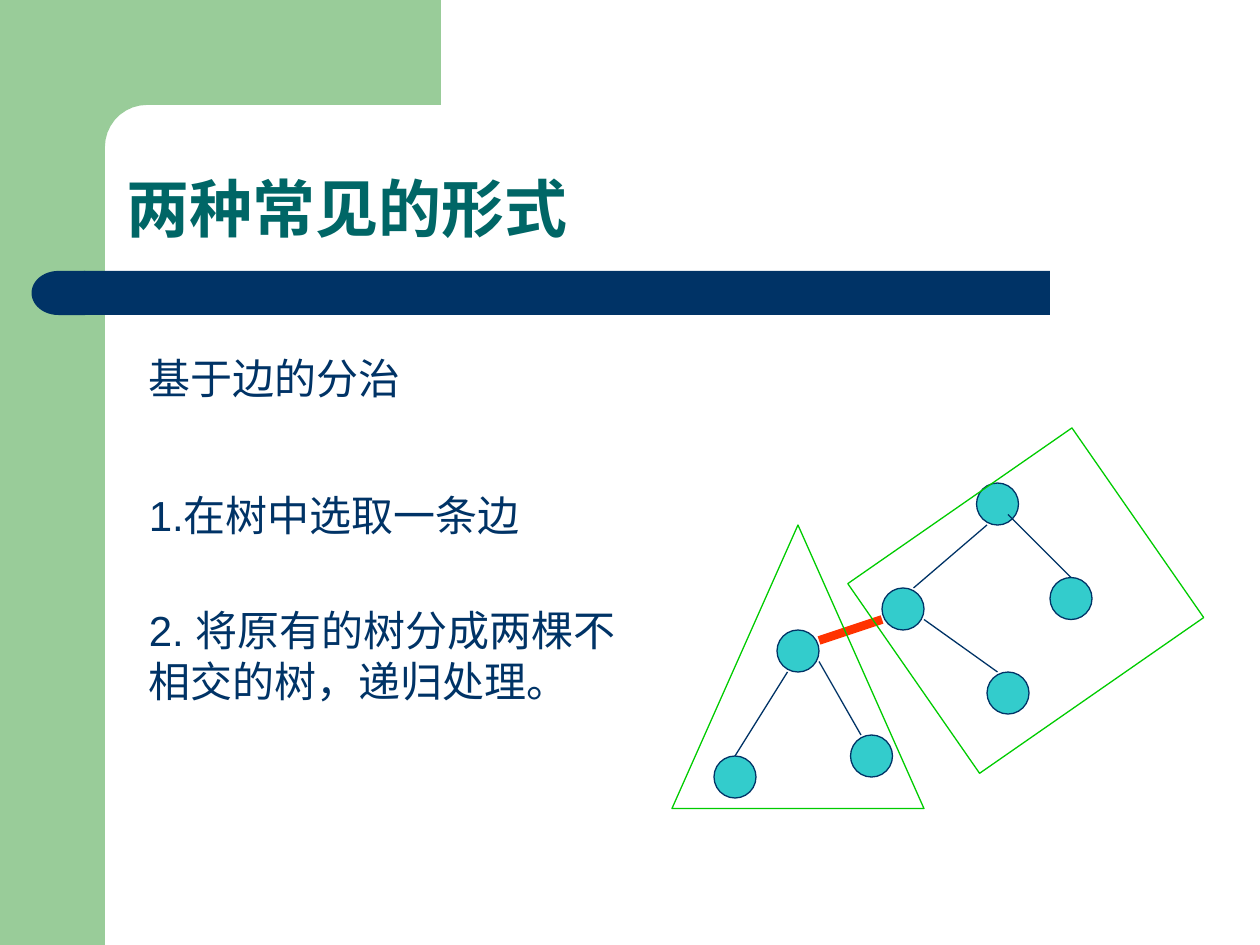
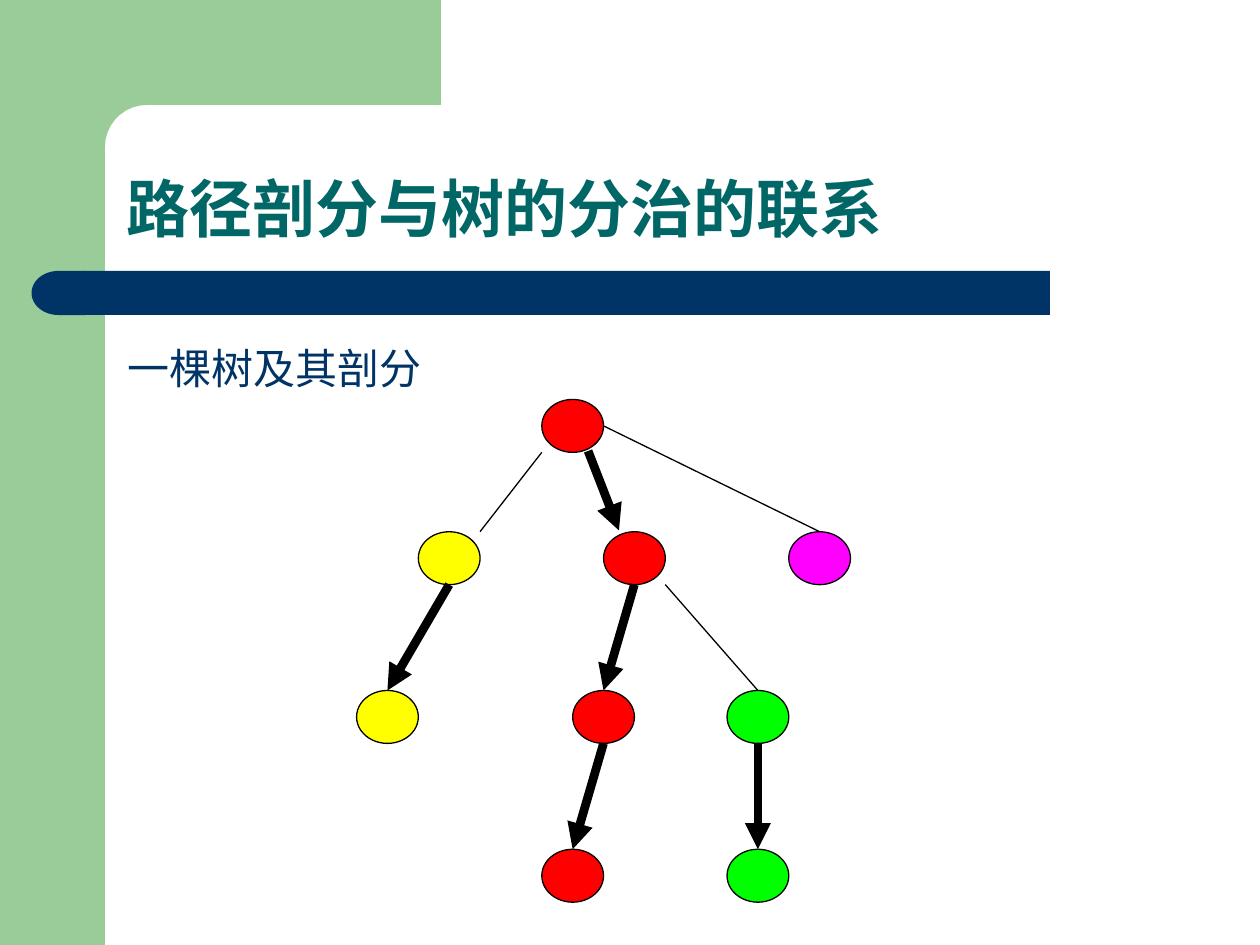
import dataclasses
import math

import lxml.etree
import pptx
import pptx.dml.color
import pptx.enum.shapes
import pptx.enum.text
import pptx.oxml.ns
import pptx.util

COLORS = {
    "leaf": "99CC99", "navy": "003366", "title": "006666",
    "node": "33CCCC", "cut": "FF3300", "part": "00CC00", "black": "000000",
    "red": "FF0000", "yellow": "FFFF00", "magenta": "FF00FF", "green": "00FF00",
}
FONT = "Arial"
SHAPE = pptx.enum.shapes.MSO_SHAPE
ANCHOR = pptx.enum.text.MSO_ANCHOR
THIN, THICK = 0.75, 5


@dataclasses.dataclass
class Grid:
    """A region of the slide; positions in it are columns and rows."""
    left: float
    top: float
    column: float
    row: float

    def point(self, x, y):
        return (pptx.util.Inches(self.left + x * self.column),
                pptx.util.Inches(self.top + y * self.row))

    def size(self, width, height):
        return (pptx.util.Inches(width * self.column),
                pptx.util.Inches(height * self.row))


CELL = 1 / 12
SLIDE = Grid(0, 0, CELL, CELL)  # 120 columns by 90 rows
WIDTH, HEIGHT = 120, 90


def color(name):
    return pptx.dml.color.RGBColor.from_string(COLORS[name])


def paint(shape, fill=None, line=None):
    shape.shadow.inherit = False
    if fill:
        shape.fill.solid()
        shape.fill.fore_color.rgb = color(fill)
    else:
        shape.fill.background()
    if line:
        shape.line.color.rgb = color(line)
        shape.line.width = pptx.util.Pt(THIN)
    else:
        shape.line.fill.background()


def add_figure(page, grid, kind, x, y, width, height, fill=None, line=None, turn=0):
    figure = page.shapes.add_shape(kind, *grid.point(x, y), *grid.size(width, height))
    figure.rotation = turn
    paint(figure, fill, line)


def add_edge(page, grid, start, end, line, weight=THIN, arrow=False):
    edge = page.shapes.add_connector(pptx.enum.shapes.MSO_CONNECTOR.STRAIGHT,
                                     *grid.point(*start), *grid.point(*end))
    edge.line.color.rgb = color(line)
    edge.line.width = pptx.util.Pt(weight)
    if arrow:
        head = lxml.etree.SubElement(edge.line._get_or_add_ln(),
                                     pptx.oxml.ns.qn("a:tailEnd"))
        head.set("type", "triangle")
    lxml.etree.SubElement(edge._element.spPr, pptx.oxml.ns.qn("a:effectLst"))


def add_text(page, text, x, y, width, height, size=24, ink="navy", bold=False,
             anchor=ANCHOR.TOP, before=15, spacing=None, grow=True):
    box = page.shapes.add_textbox(*SLIDE.point(x, y), *SLIDE.size(width, height))
    frame = box.text_frame
    frame.word_wrap = True
    frame.vertical_anchor = anchor
    if grow:
        frame.auto_size = pptx.enum.text.MSO_AUTO_SIZE.SHAPE_TO_FIT_TEXT
    para = frame.paragraphs[0]
    para.space_before = pptx.util.Pt(before)
    para.line_spacing = spacing
    span = para.add_run()
    span.text = text
    span.font.name = FONT
    span.font.size = pptx.util.Pt(size)
    span.font.bold = bold
    span.font.color.rgb = color(ink)


def add_corner(page, grid, inner=10, radius=4, right=42):
    """Top strip whose inner corner with the side band is rounded."""
    center = inner + radius
    arc = [(center - radius * math.sin(math.radians(angle)),
            center - radius * math.cos(math.radians(angle)))
           for angle in range(0, 91, 10)]
    outline = [(right, inner), *arc, (inner, 15.4), (6, 15.4), (6, 0)]
    builder = page.shapes.build_freeform(*grid.point(right, 0))
    builder.add_line_segments([grid.point(*spot) for spot in outline])
    paint(builder.convert_to_shape(), "leaf")


def add_page(deck, title):
    page = deck.slides.add_slide(deck.slide_layouts[6])
    # Green side band and corner
    add_figure(page, SLIDE, SHAPE.RECTANGLE, 0, 0, 10, HEIGHT, "leaf")
    add_corner(page, SLIDE)
    # Navy bar with its round end
    add_figure(page, SLIDE, SHAPE.RECTANGLE, 8, 25.8, 92, 4.2, "navy")
    add_figure(page, SLIDE, SHAPE.FLOWCHART_DELAY, 3, 25.8, 5.1, 4.2, "navy", turn=180)
    # Title
    add_text(page, title, 10.9, 10.9, 102.1, 13.1, size=36, ink="title", bold=True,
             anchor=ANCHOR.BOTTOM, before=0, spacing=0.9, grow=False)
    return page


def draw_split_tree(page, grid):
    nodes = [(29, 0), (36, 9), (17, 24), (10, 14), (4, 26), (20, 10), (30, 18)]
    edges = [((11, 18), (6, 26)), ((14, 17), (18, 24)), ((24, 13), (31, 18)),
             ((23, 10), (30, 4)), ((32, 3), (38, 9))]
    for x, y in nodes:
        add_figure(page, grid, SHAPE.OVAL, x, y, 4, 4, "node", "navy")
    for start, end in edges:
        add_edge(page, grid, start, end, "navy")
    # Chosen edge and the two parts it separates
    add_edge(page, grid, (14, 15), (20, 13), "cut", THICK)
    add_figure(page, grid, SHAPE.ISOSCELES_TRIANGLE, 0, 4, 24, 27, line="part")
    add_figure(page, grid, SHAPE.RECTANGLE, 20.7, 0.2, 26, 22, line="part", turn=325.2)


def draw_path_tree(page, grid):
    chains = {
        "red": [(6, 0), (8, 5), (7, 11), (6, 17)],
        "yellow": [(2, 5), (0, 11)],
        "magenta": [(14, 5)],
        "green": [(12, 11), (12, 17)],
    }
    light_edges = [((6, 2), (4, 5)), ((8, 1), (15, 5)), ((10, 7), (13, 11))]
    heavy_edges = [((3, 7), (1, 11)), ((7.5, 1.95), (8.5, 4.95)), ((9, 7), (8, 11)),
                   ((8, 13), (7, 17)), ((13, 13), (13, 17))]
    for fill, nodes in chains.items():
        for x, y in nodes:
            add_figure(page, grid, SHAPE.OVAL, x, y, 2, 2, fill, "black")
    for start, end in light_edges:
        add_edge(page, grid, start, end, "black")
    for start, end in heavy_edges:
        add_edge(page, grid, start, end, "black", THICK, arrow=True)


def build_edge_division(deck):
    page = add_page(deck, "两种常见的形式")
    add_text(page, "基于边的分治", 13, 33, 38, 13.3)
    add_text(page, "1.在树中选取一条边", 13, 46, 47, 6)
    add_text(page, "2. 将原有的树分成两棵不相交的树，递归处理。", 13, 57, 47, 18.1)
    draw_split_tree(page, Grid(64 * CELL, 46 * CELL, CELL, CELL))


def build_path_division(deck):
    page = add_page(deck, "路径剖分与树的分治的联系")
    draw_path_tree(page, Grid(2.83, 3.17, 0.245, 0.21))
    add_text(page, "一棵树及其剖分", 11, 32, 40, 6)


def main():
    deck = pptx.Presentation()
    deck.slide_width, deck.slide_height = SLIDE.size(WIDTH, HEIGHT)
    build_edge_division(deck)
    build_path_division(deck)
    deck.save("out.pptx")


if __name__ == "__main__":
    main()
